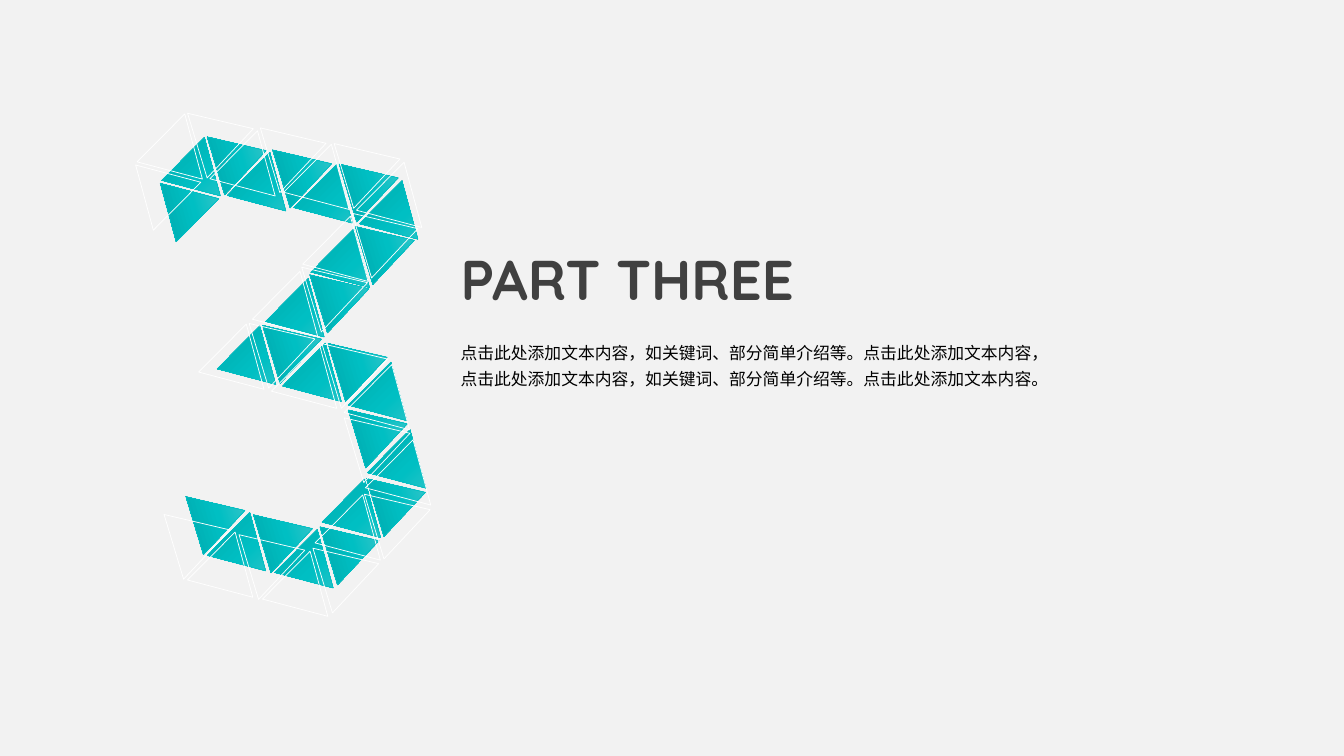
from copy import deepcopy

from pptx import Presentation
from pptx.dml.color import RGBColor
from pptx.enum import shapes, text
from pptx.oxml.ns import qn
from pptx.util import Inches, Pt

TITLE = "PART THREE"
BODY = ("点击此处添加文本内容，如关键词、部分简单介绍等。点击此处添加文本内容，"
        "点击此处添加文本内容，如关键词、部分简单介绍等。点击此处添加文本内容。")

# Left and top of each triangle of the digit, by its turn in degrees
TILES = {
    74.8: [(1.62, 1.78)],
    134.8: [(1.7, 1.5), (2.35, 1.65), (3.01, 1.77), (3.18, 2.41), (2.73, 2.9),
            (3.66, 1.93), (2.9, 3.54), (2.25, 3.37), (3.74, 4.4), (3.55, 3.73),
            (3.29, 4.89), (2.82, 5.39), (2.15, 5.22)],
    73.2: [(2.09, 1.31), (2.74, 1.44), (3.4, 1.58), (3.56, 2.2), (3.11, 2.68),
           (2.64, 3.18), (3.29, 3.36), (3.49, 4.02), (3.67, 4.7), (3.21, 5.18),
           (2.55, 5.06), (1.88, 4.88)],
}
STOPS = [(0, "4BC7CB"), (0.5, "00BFC3"), (1, "00AAAD")]

# Size, scale and shift (x, y) of the two layers of the digit
LAYERS = [
    {"size": (0.6, 0.52), "scale": (1, 1), "shift": (0, 0),
     "line": "00BFC3", "stops": STOPS},
    {"size": (0.67, 0.58), "scale": (1.11, 1.115), "shift": (-0.42, -0.39),
     "line": "FFFFFF", "stops": None},
]

TEXTS = [
    {"words": TITLE, "box": (4.47, 2.46, 4.35, 0.68), "color": "404040",
     "anchor": text.MSO_ANCHOR.MIDDLE,
     "para": {"line_spacing": 0.9},
     "font": {"name": "Quicksand", "size": Pt(40), "bold": True}},
    {"words": BODY, "box": (4.47, 3.29, 6.16, 0.68), "color": "000000",
     "anchor": text.MSO_ANCHOR.TOP,
     "para": {"line_spacing": 1.3},
     "font": {"name": "Quicksand", "size": Pt(12)}},
]


def paint(color, code):
    color.rgb = RGBColor.from_string(code)


def assign(item, values):
    for name, value in values.items():
        setattr(item, name, value)


def blend(shape, stops):
    """Fill a shape with a gradient that runs from its top to its base."""
    fill = shape.fill
    fill.gradient()
    fill.gradient_angle = 270
    group = shape.element.spPr.find(".//" + qn("a:gsLst"))
    while len(group) < len(stops):
        group.insert(1, deepcopy(group[0]))
    for stop, (place, code) in zip(fill.gradient_stops, stops):
        stop.position = place
        paint(stop.color, code)


def add_digit(slide, layer):
    group = slide.shapes.add_group_shape()
    for turn, spots in TILES.items():
        for spot in spots:
            left, top = (s * k + d for s, k, d in
                         zip(spot, layer["scale"], layer["shift"]))
            tile = group.shapes.add_shape(
                shapes.MSO_SHAPE.ISOSCELES_TRIANGLE,
                *map(Inches, (left, top, *layer["size"])))
            tile.rotation = turn
            tile.shadow.inherit = False
            tile.line.width = Pt(0.5)
            paint(tile.line.color, layer["line"])
            if layer["stops"]:
                blend(tile, layer["stops"])
            else:
                tile.fill.background()


def add_text(slide, entry):
    box = slide.shapes.add_textbox(*map(Inches, entry["box"]))
    frame = box.text_frame
    assign(frame, {"word_wrap": True, "vertical_anchor": entry["anchor"]})
    para = frame.paragraphs[0]
    assign(para, entry["para"])
    run = para.add_run()
    run.text = entry["words"]
    assign(run.font, entry["font"])
    paint(run.font.color, entry["color"])


def main():
    deck = Presentation()
    deck.slide_width, deck.slide_height = Inches(13.33), Inches(7.5)
    slide = deck.slides.add_slide(deck.slide_layouts[6])
    back = slide.background.fill
    back.solid()
    paint(back.fore_color, "F2F2F2")
    for entry in TEXTS:
        add_text(slide, entry)
    for layer in LAYERS:
        add_digit(slide, layer)
    deck.save("out.pptx")


if __name__ == "__main__":
    main()
